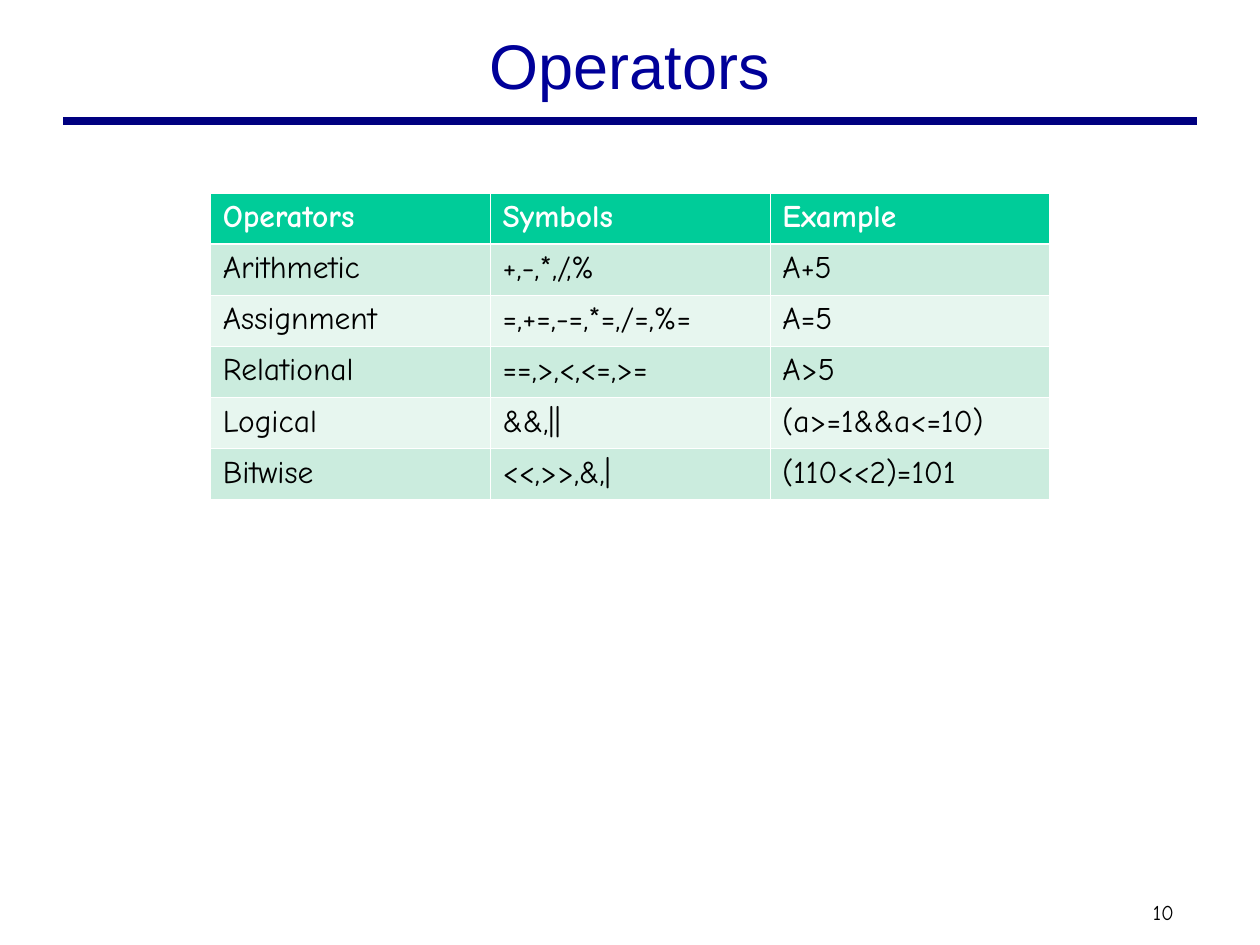
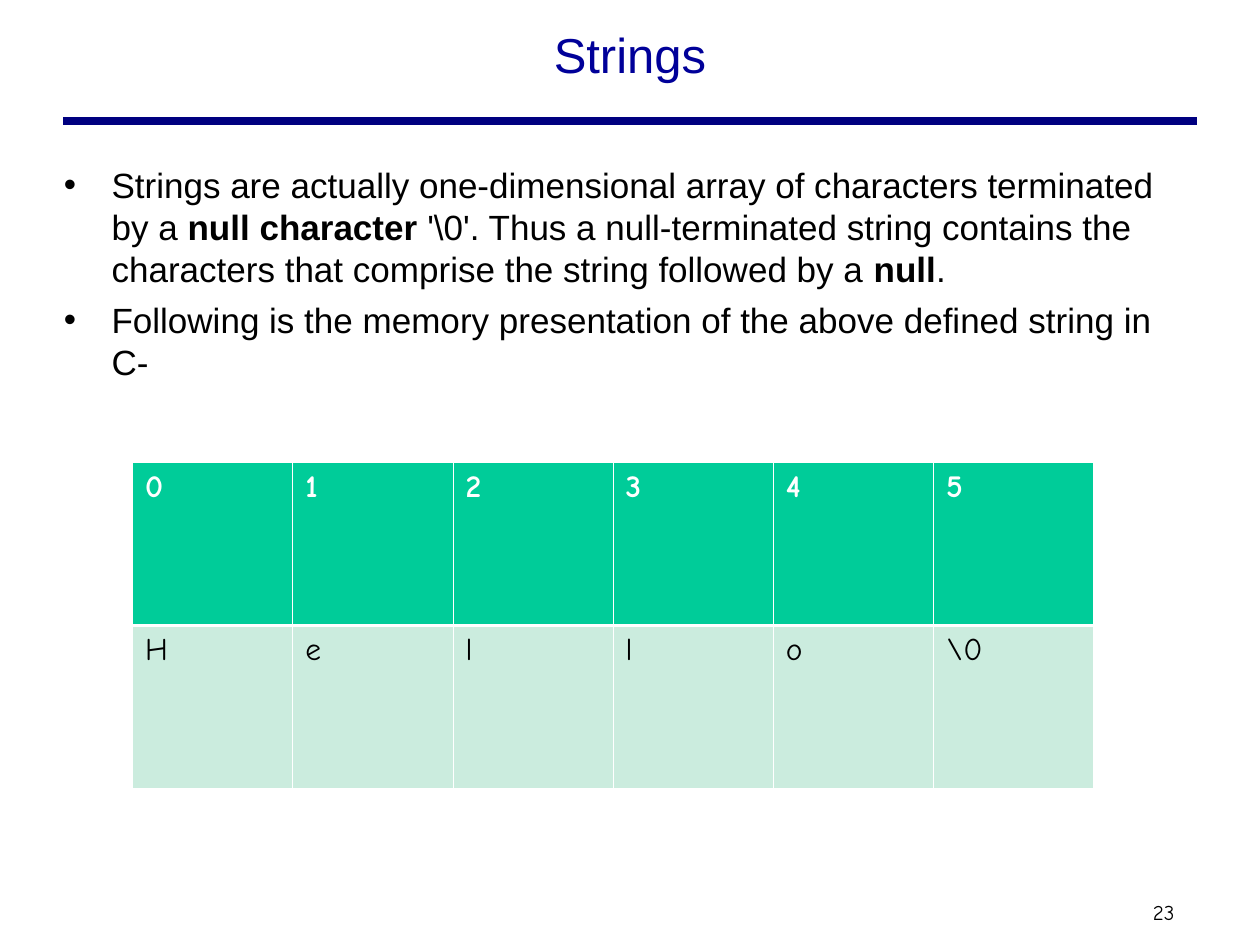
from lxml.etree import SubElement
from pptx import Presentation
from pptx.dml.color import RGBColor
from pptx.enum.shapes import MSO_CONNECTOR as Connector
from pptx.enum.text import MSO_ANCHOR as Anchor, PP_ALIGN as Align
from pptx.oxml.ns import qn
from pptx.util import Cm, Pt

COLORS = {
    "title": "000099",
    "rule": "000080",
    "text": "000000",
    "white": "FFFFFF",
    "header": "00CC99",
    "odd_row": "CBECDE",
    "even_row": "E7F6EF",
}
SANS, COMIC = "Arial", "Comic Neue"
THIN, THICK = 0.45, 1.47

OPERATORS = [
    ["Operators", "Symbols", "Example"],
    ["Arithmetic", "+,-,*,/,%", "A+5"],
    ["Assignment", "=,+=,-=,*=,/=,%=", "A=5"],
    ["Relational", "==,>,<,<=,>=", "A>5"],
    ["Logical", "&&,||", "(a>=1&&a<=10)"],
    ["Bitwise", "<<,>>,&,|", "(110<<2)=101"],
]
HELLO_MEMORY = [list("012345"), [*"Hello", "\\0"]]
STRING_NOTES = [
    [
        ("Strings are actually one-dimensional array of characters terminated by a ", False),
        ("null character", True),
        (" '\\0'. Thus a null-terminated string contains the characters "
         "that comprise the string followed by a ", False),
        ("null", True),
        (".", False),
    ],
    [("Following is the memory presentation of the above defined string in C-", False)],
]


def color(name):
    """Return the named palette colour."""
    return RGBColor.from_string(COLORS[name])


def add_span(para, text, size, font, tint="text", bold=False):
    """Append one formatted run to a paragraph."""
    span = para.add_run()
    span.text = text
    span.font.size = Pt(size)
    span.font.name = font
    span.font.bold = bold
    span.font.color.rgb = color(tint)


def add_box(page, left, top, width, height, anchor=Anchor.TOP, wrap=True):
    """Add an empty text box, measured in centimetres, and return its frame."""
    box = page.shapes.add_textbox(Cm(left), Cm(top), Cm(width), Cm(height))
    frame = box.text_frame
    frame.word_wrap = wrap
    frame.vertical_anchor = anchor
    return frame


def add_title(page, text, top, size):
    """Add the centred slide title."""
    para = add_box(page, 1.9, top, 21.6, 2.18, Anchor.MIDDLE).paragraphs[0]
    para.alignment = Align.CENTER
    add_span(para, text, size, SANS, "title")


def add_rule(page):
    """Add the thick line under the title."""
    rule = page.shapes.add_connector(
        Connector.STRAIGHT, Cm(1.27), Cm(2.44), Cm(24.13), Cm(2.44))
    rule.line.color.rgb = color("rule")
    rule.line.width = Pt(4.5)
    SubElement(rule._element.spPr, qn("a:effectLst"))


def add_page_number(page, number):
    """Add the page number in the lower right corner."""
    frame = add_box(page, 23.11, 18.01, 1.19, 0.76, Anchor.MIDDLE, wrap=False)
    frame.margin_left = frame.margin_right = Cm(0.13)
    add_span(frame.paragraphs[0], str(number), 12, COMIC)


def add_bullets(page, notes):
    """Add the bulleted body text."""
    frame = add_box(page, 1.04, 3.18, 23.32, 14.1)
    for index, spans in enumerate(notes):
        para = frame.add_paragraph() if index else frame.paragraphs[0]
        if index:
            para.space_before = Pt(5)
        props = para._p.get_or_add_pPr()
        props.set("marL", str(Cm(0.96)))
        props.set("indent", str(Cm(-0.96)))
        SubElement(props, qn("a:buFont"), typeface=SANS)
        SubElement(props, qn("a:buChar"), char="•")
        for text, bold in spans:
            add_span(para, text, 20, SANS, bold=bold)


def set_borders(cell, row):
    """Draw white cell borders, heavier between header and body."""
    props = cell._tc.get_or_add_tcPr()
    widths = {"L": THIN, "R": THIN,
              "T": THICK if row == 1 else THIN,
              "B": THICK if row == 0 else THIN}
    for side, width in widths.items():
        line = SubElement(props, qn(f"a:ln{side}"), w=str(Pt(width)))
        fill = SubElement(line, qn("a:solidFill"))
        SubElement(fill, qn("a:srgbClr"), val=COLORS["white"])


def add_grid(page, rows, left, top, col_width, row_height):
    """Add a table with a green header and banded rows."""
    count = len(rows[0])
    table = page.shapes.add_table(
        len(rows), count, Cm(left), Cm(top),
        Cm(col_width * count), Cm(row_height * len(rows))).table
    for column in table.columns:
        column.width = Cm(col_width)
    for r, texts in enumerate(rows):
        table.rows[r].height = Cm(row_height)
        band = "header" if r == 0 else "odd_row" if r % 2 else "even_row"
        for c, text in enumerate(texts):
            cell = table.cell(r, c)
            set_borders(cell, r)
            cell.fill.solid()
            cell.fill.fore_color.rgb = color(band)
            add_span(cell.text_frame.paragraphs[0], text, 18, COMIC,
                     "text" if r else "white", bold=r == 0)


def add_page(deck, title, title_top, title_size, number):
    """Add a blank slide with the shared rule, number and title."""
    page = deck.slides.add_slide(deck.slide_layouts[6])
    add_rule(page)
    add_page_number(page, number)
    add_title(page, title, title_top, title_size)
    return page


def main():
    """Build and save the deck."""
    deck = Presentation()
    deck.slide_width, deck.slide_height = Cm(25.4), Cm(19.05)

    page = add_page(deck, "Operators", 0.2, 36, 10)
    add_grid(page, OPERATORS, 4.24, 3.89, 5.64, 1.03)

    page = add_page(deck, "Strings", 0, 28, 23)
    add_bullets(page, STRING_NOTES)
    add_grid(page, HELLO_MEMORY, 2.67, 9.32, 3.23, 3.29)

    deck.save("out.pptx")


if __name__ == "__main__":
    main()
